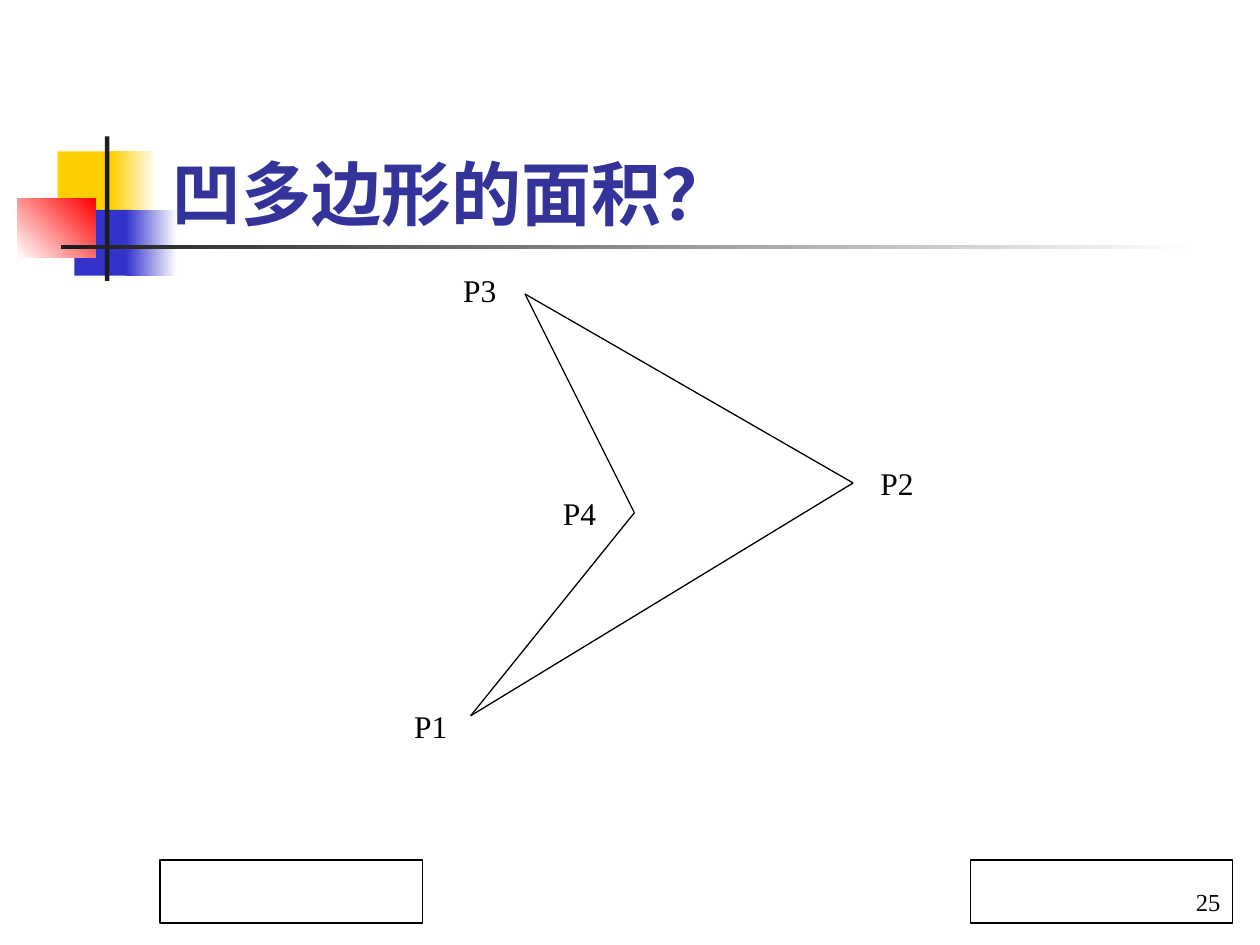
from lxml import etree
from pptx import Presentation
from pptx.dml.color import RGBColor
from pptx.enum.shapes import MSO_CONNECTOR, MSO_SHAPE
from pptx.enum.text import MSO_ANCHOR, PP_ALIGN
from pptx.oxml.ns import qn
from pptx.util import Pt

RECT = MSO_SHAPE.RECTANGLE
STRAIGHT = MSO_CONNECTOR.STRAIGHT
TOP, BOTTOM = MSO_ANCHOR.TOP, MSO_ANCHOR.BOTTOM
LEFT, RIGHT = PP_ALIGN.LEFT, PP_ALIGN.RIGHT

WHITE = RGBColor(0xFF, 0xFF, 0xFF)
BLACK = RGBColor(0x00, 0x00, 0x00)
DARK = RGBColor(0x1C, 0x1C, 0x1C)
YELLOW = RGBColor(0xFF, 0xCF, 0x01)
BLUE = RGBColor(0x33, 0x33, 0xCC)
RED = RGBColor(0xFF, 0x00, 0x00)
TITLE_BLUE = RGBColor(0x33, 0x33, 0x99)
SERIF = "Times New Roman"


def add_rect(s, box, color, fade_to=None, angle=0, outline=None):
    """Add a rectangle with a plain fill, or a gradient from color to fade_to."""
    sp = s.shapes.add_shape(RECT, *map(Pt, box))
    sp.shadow.inherit = False
    if fade_to is None:
        sp.fill.solid()
        sp.fill.fore_color.rgb = color
    else:
        sp.fill.gradient()
        sp.fill.gradient_angle = angle
        for stop, rgb in zip(sp.fill.gradient_stops, (color, fade_to)):
            stop.color.rgb = rgb
    if outline is None:
        sp.line.fill.background()
    else:
        sp.line.color.rgb = outline
        sp.line.width = Pt(0.75)
    return sp


def write(sp, text, size, font=SERIF, color=BLACK, bold=False,
          anchor=TOP, align=LEFT):
    tf = sp.text_frame
    tf.word_wrap = True
    tf.vertical_anchor = anchor
    p = tf.paragraphs[0]
    p.alignment = align
    r = p.add_run()
    r.text = text
    r.font.size = Pt(size)
    r.font.name = font
    r.font.bold = bold
    r.font.color.rgb = color


def add_ornament(s, left, top):
    """Add the overlapping squares and the two bars that cross them."""
    parts = [
        ((23, 8.5, 34.5, 37.5), YELLOW, None, 0),
        ((53.5, 8.5, 26, 37.5), YELLOW, WHITE, 0),
        ((32.5, 42, 33, 37.5), BLUE, None, 0),
        ((62, 42, 29, 37.5), BLUE, WHITE, 0),
        ((0, 35.5, 44.5, 33.5), WHITE, RED, 45),
        ((50, 0, 2.5, 82.5), DARK, None, 0),
        ((25, 62, 648, 2.5), DARK, WHITE, 0),
    ]
    for (x, y, w, h), color, fade_to, angle in parts:
        add_rect(s, (left + x, top + y, w, h), color, fade_to, angle)


def add_title(s, box):
    sp = s.shapes.add_textbox(*map(Pt, box))
    write(sp, "凹多边形的面积？", 40, "Arial", TITLE_BLUE, True, BOTTOM)


def add_polygon(s, left, top):
    """Add the concave polygon: its edges, then a label beside each vertex."""
    # name: vertex x, y and label x, y
    points = {
        "P1": (39.5, 257.5, 0, 249),
        "P2": (258, 124.5, 266.5, 110),
        "P3": (70.5, 16.5, 28, 0),
        "P4": (133, 141.5, 85, 127.5),
    }
    names = list(points)
    for start, end in zip(names, names[1:] + names[:1]):
        x1, y1 = points[start][:2]
        x2, y2 = points[end][:2]
        line = s.shapes.add_connector(
            STRAIGHT, Pt(left + x1), Pt(top + y1), Pt(left + x2), Pt(top + y2))
        line.line.color.rgb = BLACK
        line.line.width = Pt(0.75)
        etree.SubElement(line._element.spPr, qn("a:effectLst"))
    for name, (_, _, x, y) in points.items():
        sp = s.shapes.add_textbox(Pt(left + x), Pt(top + y), Pt(57), Pt(29))
        write(sp, name, 18)


def add_footer(s, left, top):
    w, h = 150, 36
    add_rect(s, (left, top, w, h), WHITE, outline=BLACK)
    sp = add_rect(s, (left + 463, top, w, h), WHITE, outline=BLACK)
    write(sp, "25", 14, anchor=BOTTOM, align=RIGHT)


def main():
    prs = Presentation()
    prs.slide_width, prs.slide_height = Pt(720), Pt(540)
    s = prs.slides.add_slide(prs.slide_layouts[6])
    add_ornament(s, 10, 78)
    add_title(s, (91, 77, 499, 60.5))
    add_polygon(s, 229.5, 151.5)
    add_footer(s, 91.5, 491.5)
    prs.save("out.pptx")


if __name__ == "__main__":
    main()
